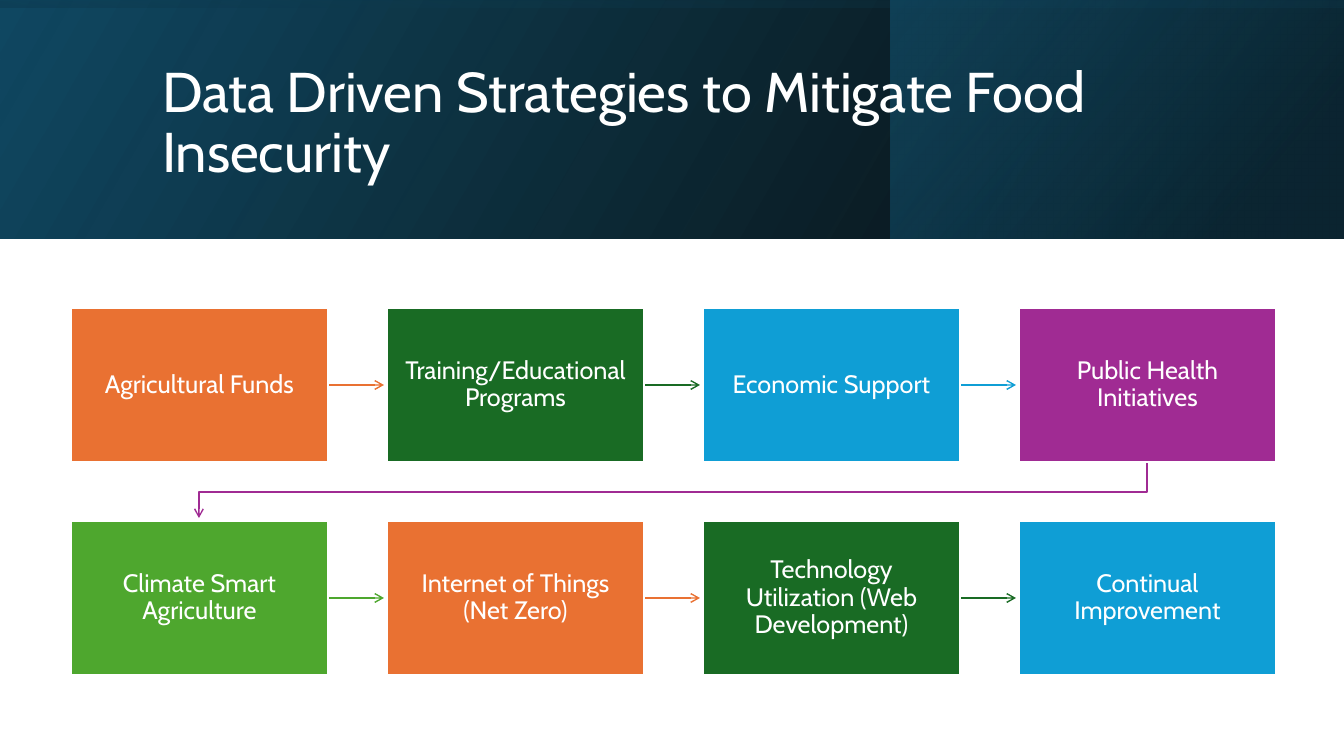
from lxml import etree
from pptx import Presentation
from pptx.dml.color import RGBColor
from pptx.enum.shapes import MSO_CONNECTOR, MSO_SHAPE
from pptx.enum.text import MSO_ANCHOR, PP_ALIGN
from pptx.oxml.ns import qn
from pptx.util import Pt

RECTANGLE = MSO_SHAPE.RECTANGLE
STRAIGHT = MSO_CONNECTOR.STRAIGHT
MIDDLE = MSO_ANCHOR.MIDDLE
LEFT, CENTER = PP_ALIGN.LEFT, PP_ALIGN.CENTER

TITLE_ONLY = 5
EMU_PER_PX = 914400 / 100.8
SLIDE_WIDTH, SLIDE_HEIGHT, HEADER_HEIGHT = 1344, 756, 239
WHITE = "FFFFFF"
ORANGE, DARK_GREEN, BLUE = "E97132", "196B24", "0F9ED5"
PURPLE, LIGHT_GREEN = "A02B93", "4EA72E"

STRATEGIES = [
    ("Agricultural Funds", ORANGE),
    ("Training/Educational Programs", DARK_GREEN),
    ("Economic Support", BLUE),
    ("Public Health Initiatives", PURPLE),
    ("Climate Smart Agriculture", LIGHT_GREEN),
    ("Internet of Things (Net Zero)", ORANGE),
    ("Technology Utilization (Web Development)", DARK_GREEN),
    ("Continual Improvement", BLUE),
]
COLUMNS = 4
GRID_LEFT, GRID_TOP = 71, 308
BOX_WIDTH, BOX_HEIGHT = 257, 154
COLUMN_STEP, ROW_STEP = 316, 213
ARROW_LENGTH = 56


def px(length):
    return round(length * EMU_PER_PX)


def color(hex_string):
    return RGBColor.from_string(hex_string)


class StrategySlide:
    def __init__(self, presentation, font_name):
        self.slide = presentation.slides.add_slide(presentation.slide_layouts[TITLE_ONLY])
        self.shapes = self.slide.shapes
        self.font_name = font_name

    def format_text(self, text_frame, size, alignment):
        text_frame.word_wrap = True
        text_frame.vertical_anchor = MIDDLE
        for paragraph in text_frame.paragraphs:
            paragraph.alignment = alignment
            paragraph.line_spacing = 0.9
            for run in paragraph.runs:
                run.font.name = self.font_name
                run.font.size = Pt(size)
                run.font.color.rgb = color(WHITE)

    def rectangle(self, left, top, width, height):
        shape = self.shapes.add_shape(RECTANGLE, px(left), px(top), px(width), px(height))
        shape.shadow.inherit = False
        return shape

    def gradient_band(self, bounds, stops, angle, rotation=0):
        """Add a mirrored band; stops are (position %, colour, opacity %)."""
        band = self.rectangle(*bounds)
        band.rotation = rotation
        band.line.fill.background()
        band.fill.background()
        properties = band._element.spPr
        properties.find(qn("a:xfrm")).set("flipH", "1")
        gradient = etree.Element(qn("a:gradFill"), rotWithShape="1")
        stop_list = etree.SubElement(gradient, qn("a:gsLst"))
        for position, hex_string, opacity in stops:
            stop = etree.SubElement(stop_list, qn("a:gs"), pos=str(position * 1000))
            stop_color = etree.SubElement(stop, qn("a:srgbClr"), val=hex_string)
            etree.SubElement(stop_color, qn("a:alpha"), val=str(opacity * 1000))
        etree.SubElement(gradient, qn("a:lin"), ang=str(angle * 60000), scaled="0")
        properties.replace(properties.find(qn("a:noFill")), gradient)

    def title(self, text, left, top, width, height):
        title = self.shapes.title
        title.left, title.top = px(left), px(top)
        title.width, title.height = px(width), px(height)
        title.text_frame.text = text
        self.format_text(title.text_frame, 40, LEFT)
        # Bring the title in front of the header bands
        self.shapes._spTree.append(title._element)

    def box(self, text, left, top, fill):
        box = self.rectangle(left, top, BOX_WIDTH, BOX_HEIGHT)
        box.fill.solid()
        box.fill.fore_color.rgb = color(fill)
        box.line.color.rgb = color(WHITE)
        box.line.width = Pt(1.5)
        frame = box.text_frame
        frame.margin_left = frame.margin_right = px(12)
        frame.margin_top = frame.margin_bottom = px(13)
        frame.text = text
        self.format_text(frame, 18, CENTER)

    def style_arrow(self, arrow, hex_string):
        arrow.line.color.rgb = color(hex_string)
        arrow.line.width = Pt(1)
        line = arrow.line._get_or_add_ln()
        etree.SubElement(line, qn("a:tailEnd"), type="arrow")

    def arrow(self, left, middle, hex_string):
        arrow = self.shapes.add_connector(
            STRAIGHT, px(left), px(middle), px(left + ARROW_LENGTH), px(middle))
        self.style_arrow(arrow, hex_string)
        etree.SubElement(arrow._element.spPr, qn("a:effectLst"))

    def bent_arrow(self, points, hex_string):
        start, *rest = [(px(x), px(y)) for x, y in points]
        builder = self.shapes.build_freeform(*start)
        builder.add_line_segments(rest, close=False)
        arrow = builder.convert_to_shape()
        arrow.shadow.inherit = False
        arrow.fill.background()
        self.style_arrow(arrow, hex_string)


def add_header(slide):
    slide.gradient_band((0, 0, SLIDE_WIDTH, HEADER_HEIGHT),
                        [(0, "000000", 96), (100, "104862", 100)], 330)
    slide.gradient_band((891, 0, 452, HEADER_HEIGHT),
                        [(19, "0B3041", 68), (100, "156082", 48)], 320)
    slide.gradient_band((552, -552, HEADER_HEIGHT, SLIDE_WIDTH),
                        [(23, "104862", 16), (99, "000000", 45)], 350, rotation=270)
    slide.title("Data Driven Strategies to Mitigate Food Insecurity", 152, 38, 1072, 173)


def add_process(slide):
    for index, (text, hex_string) in enumerate(STRATEGIES):
        row, column = divmod(index, COLUMNS)
        left = GRID_LEFT + column * COLUMN_STEP
        top = GRID_TOP + row * ROW_STEP
        bottom = top + BOX_HEIGHT
        if column < COLUMNS - 1:
            slide.arrow(left + BOX_WIDTH, top + BOX_HEIGHT // 2, hex_string)
        elif index < len(STRATEGIES) - 1:
            first_center = GRID_LEFT + BOX_WIDTH // 2
            last_center = left + BOX_WIDTH // 2
            turn = bottom + 30
            slide.bent_arrow([(last_center, bottom), (last_center, turn),
                              (first_center, turn), (first_center, bottom + ARROW_LENGTH)],
                             hex_string)
        slide.box(text, left, top, hex_string)


def main():
    presentation = Presentation()
    presentation.slide_width = px(SLIDE_WIDTH)
    presentation.slide_height = px(SLIDE_HEIGHT)
    slide = StrategySlide(presentation, "Cabin")
    add_header(slide)
    add_process(slide)
    presentation.save("out.pptx")


if __name__ == "__main__":
    main()
